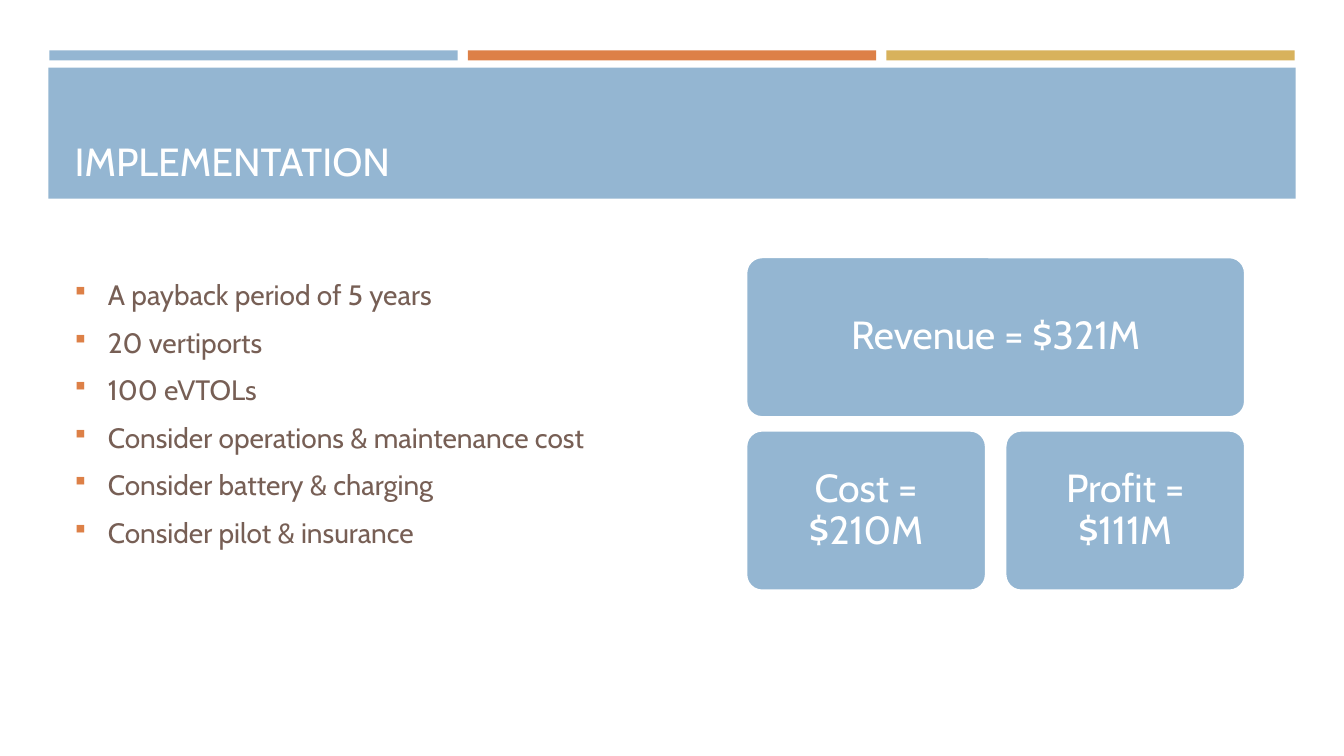
from dataclasses import dataclass

from lxml.etree import SubElement
from pptx import Presentation
from pptx.dml.color import RGBColor
from pptx.enum.shapes import MSO_SHAPE
from pptx.enum.text import MSO_ANCHOR, MSO_AUTO_SIZE, PP_ALIGN
from pptx.oxml.ns import qn
from pptx.shapes.autoshape import Shape
from pptx.slide import Slide
from pptx.text.text import TextFrame, _Paragraph
from pptx.util import Inches, Pt

FONT = "Cabin"
COLORS = {
    "blue": "94B6D2",
    "orange": "DD8047",
    "gold": "D8B25C",
    "brown": "775F55",
    "white": "FFFFFF",
}
BULLETS = [
    "A payback period of 5 years",
    "20 vertiports",
    "100 eVTOLs",
    "Consider operations & maintenance cost",
    "Consider battery & charging",
    "Consider pilot & insurance",
]


@dataclass(frozen=True)
class Box:
    left: float
    top: float
    width: float
    height: float


@dataclass(frozen=True)
class Card:
    text: str
    box: Box


STRIPE = Box(0.49, 0.5, 4.05, 0.1)
STRIPE_STEP = 4.15
TITLE_BAND = Box(0.48, 0.67, 12.37, 1.3)
CARDS = [
    Card("Revenue = $321M", Box(7.4, 2.55, 4.95, 1.59)),
    Card("Cost = $210M", Box(7.4, 4.27, 2.38, 1.59)),
    Card("Profit = $111M", Box(9.97, 4.27, 2.38, 1.59)),
]


def color(name: str) -> RGBColor:
    return RGBColor.from_string(COLORS[name])


def add_block(slide: Slide, kind: MSO_SHAPE, box: Box, fill: str) -> Shape:
    shape = slide.shapes.add_shape(
        kind, Inches(box.left), Inches(box.top), Inches(box.width), Inches(box.height)
    )
    shape.shadow.inherit = False
    shape.fill.solid()
    shape.fill.fore_color.rgb = color(fill)
    shape.line.fill.background()
    return shape


def add_text(paragraph: _Paragraph, text: str, size: float, color_name: str) -> None:
    run = paragraph.add_run()
    run.text = text
    run.font.name = FONT
    run.font.size = Pt(size)
    run.font.color.rgb = color(color_name)


def add_card(slide: Slide, card: Card) -> None:
    shape = add_block(slide, MSO_SHAPE.ROUNDED_RECTANGLE, card.box, "blue")
    shape.adjustments[0] = 0.1
    shape.line.color.rgb = color("white")
    shape.line.width = Pt(1.75)
    frame = shape.text_frame
    frame.word_wrap = True
    frame.vertical_anchor = MSO_ANCHOR.MIDDLE
    frame.margin_left = frame.margin_right = Inches(0.17)
    frame.margin_top = frame.margin_bottom = Inches(0.17)
    paragraph = frame.paragraphs[0]
    paragraph.alignment = PP_ALIGN.CENTER
    paragraph.line_spacing = 0.9
    paragraph.space_after = Pt(9.8)
    add_text(paragraph, card.text, 28, "white")


def prepare_placeholder(
    slide: Slide, placeholder: Shape, box: Box, anchor: MSO_ANCHOR
) -> TextFrame:
    placeholder.left, placeholder.top = Inches(box.left), Inches(box.top)
    placeholder.width, placeholder.height = Inches(box.width), Inches(box.height)
    # Bring the placeholder in front of the blocks
    slide.shapes._spTree.append(placeholder._element)
    frame = placeholder.text_frame
    frame.word_wrap = True
    frame.auto_size = MSO_AUTO_SIZE.NONE
    frame.vertical_anchor = anchor
    return frame


def set_bullet(paragraph: _Paragraph) -> None:
    properties = paragraph._p.get_or_add_pPr()
    properties.set("marL", str(Inches(0.33)))
    properties.set("indent", str(-Inches(0.33)))
    bullet_color = SubElement(properties, qn("a:buClr"))
    SubElement(bullet_color, qn("a:srgbClr"), val=COLORS["orange"])
    SubElement(properties, qn("a:buSzPct"), val="92000")
    SubElement(properties, qn("a:buFont"), typeface="Wingdings")
    SubElement(properties, qn("a:buChar"), char="§")


def main() -> None:
    presentation = Presentation()
    presentation.slide_width = Inches(13.33)
    presentation.slide_height = Inches(7.5)
    slide = presentation.slides.add_slide(presentation.slide_layouts[1])

    # Stripes and title band
    for index, name in enumerate(("blue", "orange", "gold")):
        left = STRIPE.left + index * STRIPE_STEP
        box = Box(left, STRIPE.top, STRIPE.width, STRIPE.height)
        add_block(slide, MSO_SHAPE.RECTANGLE, box, name)
    add_block(slide, MSO_SHAPE.RECTANGLE, TITLE_BAND, "blue")

    # Title
    title_frame = prepare_placeholder(
        slide, slide.shapes.title, Box(0.64, 0.77, 12.06, 1.11), MSO_ANCHOR.BOTTOM
    )
    title_frame.paragraphs[0].alignment = PP_ALIGN.LEFT
    add_text(title_frame.paragraphs[0], "IMPLEMENTATION", 28, "white")

    # Bullet list
    list_frame = prepare_placeholder(
        slide, slide.placeholders[1], Box(0.64, 2.09, 6.03, 4.02), MSO_ANCHOR.MIDDLE
    )
    for index, text in enumerate(BULLETS):
        paragraph = list_frame.add_paragraph() if index else list_frame.paragraphs[0]
        paragraph.space_before = Pt(4)
        paragraph.space_after = Pt(6)
        set_bullet(paragraph)
        add_text(paragraph, text, 20, "brown")

    # Financial cards
    for card in CARDS:
        add_card(slide, card)

    presentation.save("out.pptx")


if __name__ == "__main__":
    main()
